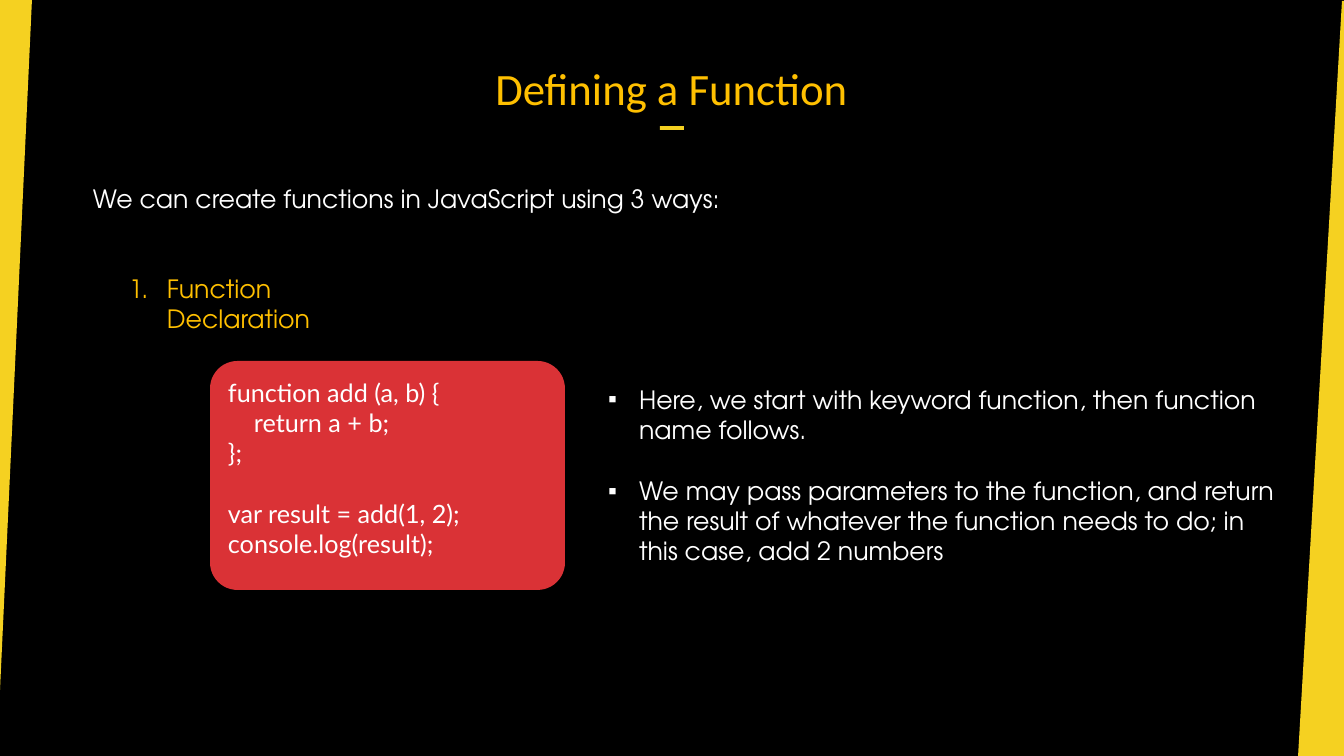
from dataclasses import dataclass

from lxml import etree
from pptx import Presentation
from pptx.dml.color import RGBColor
from pptx.enum.shapes import MSO_SHAPE
from pptx.enum.text import MSO_ANCHOR, MSO_AUTO_SIZE, PP_ALIGN
from pptx.oxml.ns import qn
from pptx.util import Emu, Pt

RECTANGLE, ROUNDED = MSO_SHAPE.RECTANGLE, MSO_SHAPE.ROUNDED_RECTANGLE
TOP, BOTTOM = MSO_ANCHOR.TOP, MSO_ANCHOR.BOTTOM
LEFT, CENTER = PP_ALIGN.LEFT, PP_ALIGN.CENTER
NO_AUTOFIT = MSO_AUTO_SIZE.NONE
SLIDE_WIDTH, SLIDE_HEIGHT = 1344, 756
EMU_PER_PX = 12192000 / SLIDE_WIDTH
TITLE_AND_CONTENT = 1


@dataclass(frozen=True)
class Theme:
    """Colours, fonts and type sizes of the slide."""

    background: RGBColor = RGBColor.from_string("000000")
    accent: RGBColor = RGBColor.from_string("F5D121")
    heading: RGBColor = RGBColor.from_string("FFC000")
    text: RGBColor = RGBColor.from_string("FFFFFF")
    code_panel: RGBColor = RGBColor.from_string("DA3236")
    title_font: str = "Calibri"
    body_font: str = "TeX Gyre Adventor"
    code_font: str = "Lato"
    title_size: Pt = Pt(32)
    body_size: Pt = Pt(18)
    blank_line: Pt = Pt(22)


THEME = Theme()


def px(length):
    """Turn a length in px into EMU."""
    return Emu(round(length * EMU_PER_PX))


def place(shape, left, top, width, height):
    """Move and size a shape, in px."""
    shape.left, shape.top = px(left), px(top)
    shape.width, shape.height = px(width), px(height)


def paint(shape, color):
    """Give a shape a plain fill without line or shadow."""
    shape.fill.solid()
    shape.fill.fore_color.rgb = color
    shape.line.fill.background()
    shape.shadow.inherit = False


def add_band(slide, points):
    """Draw a slanted band along a slide edge."""
    builder = slide.shapes.build_freeform(*points[0], scale=EMU_PER_PX)
    builder.add_line_segments(points[1:], close=True)
    paint(builder.convert_to_shape(), THEME.accent)


def add_panel(slide, preset, box, color):
    """Add a filled preset shape."""
    shape = slide.shapes.add_shape(preset, *map(px, box))
    paint(shape, color)
    return shape


def indent(paragraph, margin, hanging=0):
    """Set the left margin and hanging indent, in px."""
    properties = paragraph._p.get_or_add_pPr()
    properties.set("marL", str(px(margin)))
    properties.set("indent", str(px(-hanging)))
    return properties


def add_marker(paragraph, hanging, tag, **attributes):
    """Hang a bullet or number in front of a paragraph."""
    properties = indent(paragraph, hanging, hanging)
    etree.SubElement(properties, qn(tag), attributes)


def style(paragraph, font_name, size, color, align=LEFT):
    """Set the font, alignment and spacing of a paragraph."""
    paragraph.alignment = align
    paragraph.space_before = Pt(0)
    font = paragraph.font
    font.name, font.size = font_name, size
    font.color.rgb = color


def write_lines(shape, lines, font_name, color):
    """Fill a shape with one top-anchored paragraph per line."""
    frame = shape.text_frame
    frame.word_wrap, frame.auto_size = True, NO_AUTOFIT
    frame.vertical_anchor = TOP
    frame.text = "\n".join(lines)
    return frame.paragraphs


def add_text(slide, box, text, color, number=False):
    """Add a one-paragraph text box, numbered on request."""
    shape = slide.shapes.add_textbox(*map(px, box))
    paragraph = write_lines(shape, [text], THEME.body_font, color)[0]
    if number:
        add_marker(paragraph, 38, "a:buAutoNum", type="arabicPeriod")
    style(paragraph, THEME.body_font, THEME.body_size, color)


def fill_title(title, text):
    """Place and format the slide title."""
    place(title, 305, 39, 733, 76)
    frame = title.text_frame
    frame.text = text
    frame.auto_size, frame.vertical_anchor = NO_AUTOFIT, BOTTOM
    frame.margin_top, frame.margin_bottom = px(4), 0
    style(frame.paragraphs[0], THEME.title_font, THEME.title_size, THEME.heading, CENTER)


def fill_bullets(body, items):
    """Place the body placeholder and write its bullet list."""
    place(body, 598, 379, 689, 194)
    for position, paragraph in enumerate(
        write_lines(body, items, THEME.body_font, THEME.text)
    ):
        add_marker(paragraph, 31, "a:buChar", char="▪")
        style(paragraph, THEME.body_font, THEME.body_size, THEME.text)
        if position:
            paragraph.space_before = THEME.blank_line


def add_code(slide, box, blocks):
    """Add a code panel whose blocks are set apart by a line."""
    panel = add_panel(slide, ROUNDED, box, THEME.code_panel)
    panel.adjustments[0] = 0.12
    panel.text_frame.margin_top = px(8)
    lines = [line for block in blocks for line in block]
    starts = [block[0] for block in blocks[1:]]
    for paragraph in write_lines(panel, lines, THEME.code_font, THEME.text):
        style(paragraph, THEME.code_font, THEME.body_size, THEME.text)
        if paragraph.text in starts:
            paragraph.space_before = THEME.blank_line
        if paragraph.text.startswith("return"):
            indent(paragraph, 26)


def main():
    """Build the slide and save it."""
    presentation = Presentation()
    presentation.slide_width, presentation.slide_height = px(SLIDE_WIDTH), px(SLIDE_HEIGHT)
    layout = presentation.slide_layouts[TITLE_AND_CONTENT]
    slide = presentation.slides.add_slide(layout)
    slide.background.fill.solid()
    slide.background.fill.fore_color.rgb = THEME.background

    add_band(slide, [(-3, 756), (-5, 756), (-5, 0), (32, 0)])
    add_band(slide, [(1342, 1), (1344, 1), (1344, 757), (1298, 757)])
    add_panel(slide, RECTANGLE, (660, 126, 24, 4), THEME.accent)

    fill_title(slide.shapes.title, "Defining a Function")
    add_text(
        slide, (83, 178, 1129, 40),
        "We can create functions in JavaScript using 3 ways:", THEME.text,
    )
    add_text(slide, (119, 268, 291, 40), "Function Declaration", THEME.heading, number=True)
    add_code(slide, (210, 361, 355, 229), [
        ["function add (a, b) {", "return a + b;", "};"],
        ["var result = add(1, 2);", "console.log(result);"],
    ])
    fill_bullets(slide.placeholders[1], [
        "Here, we start with keyword function, then function name follows.",
        "We may pass parameters to the function, and return the result of "
        "whatever the function needs to do; in this case, add 2 numbers",
    ])
    presentation.save("out.pptx")


if __name__ == "__main__":
    main()
